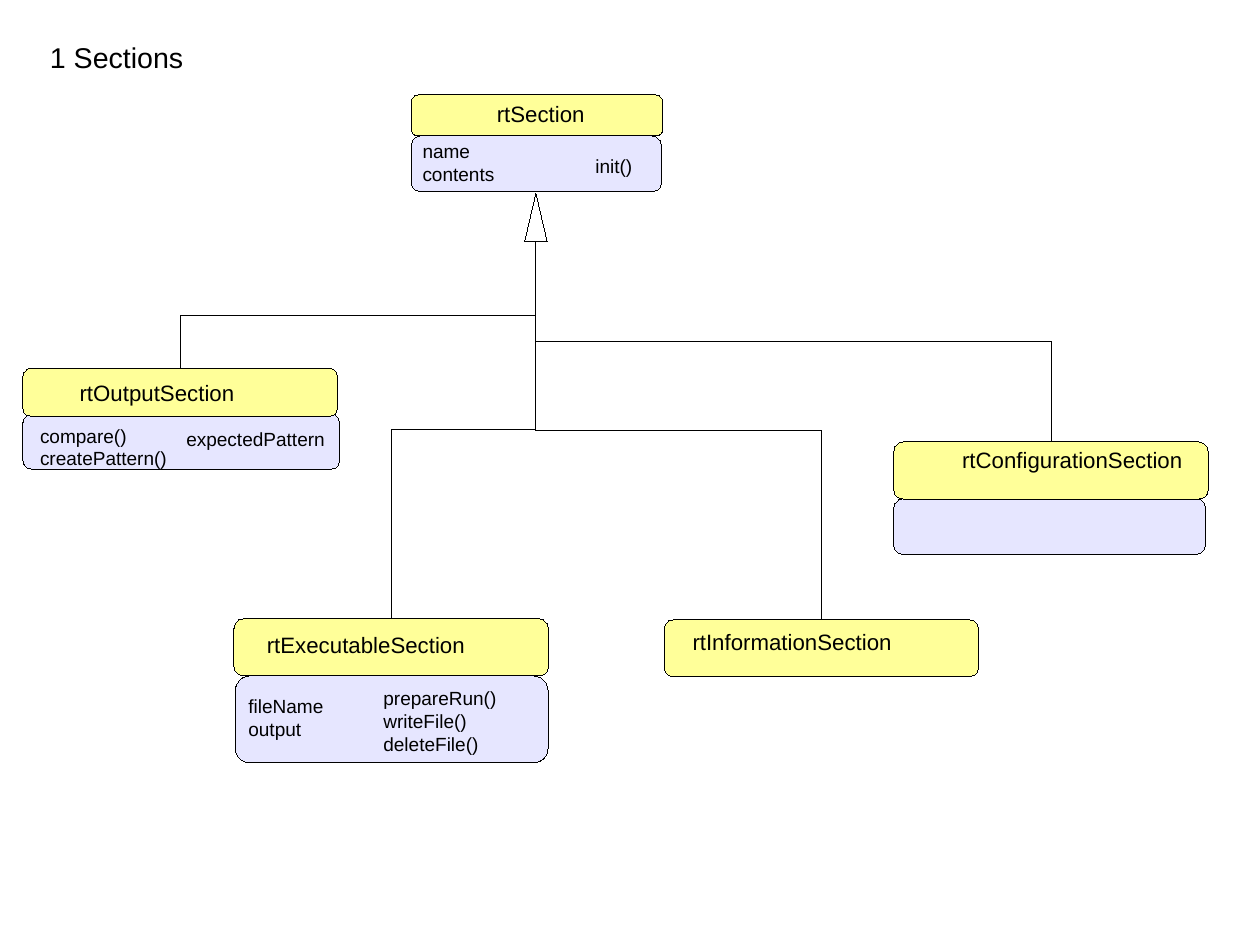
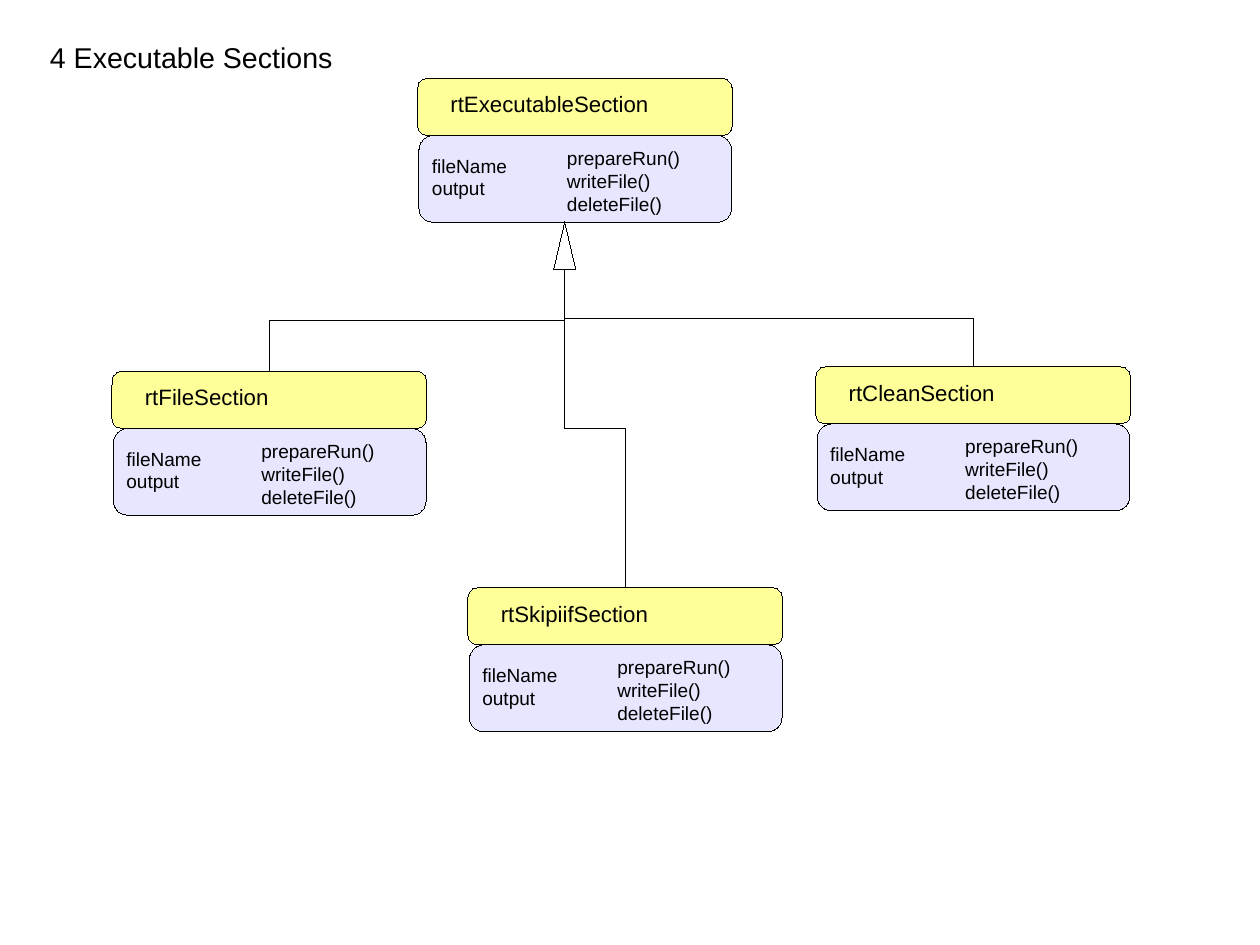
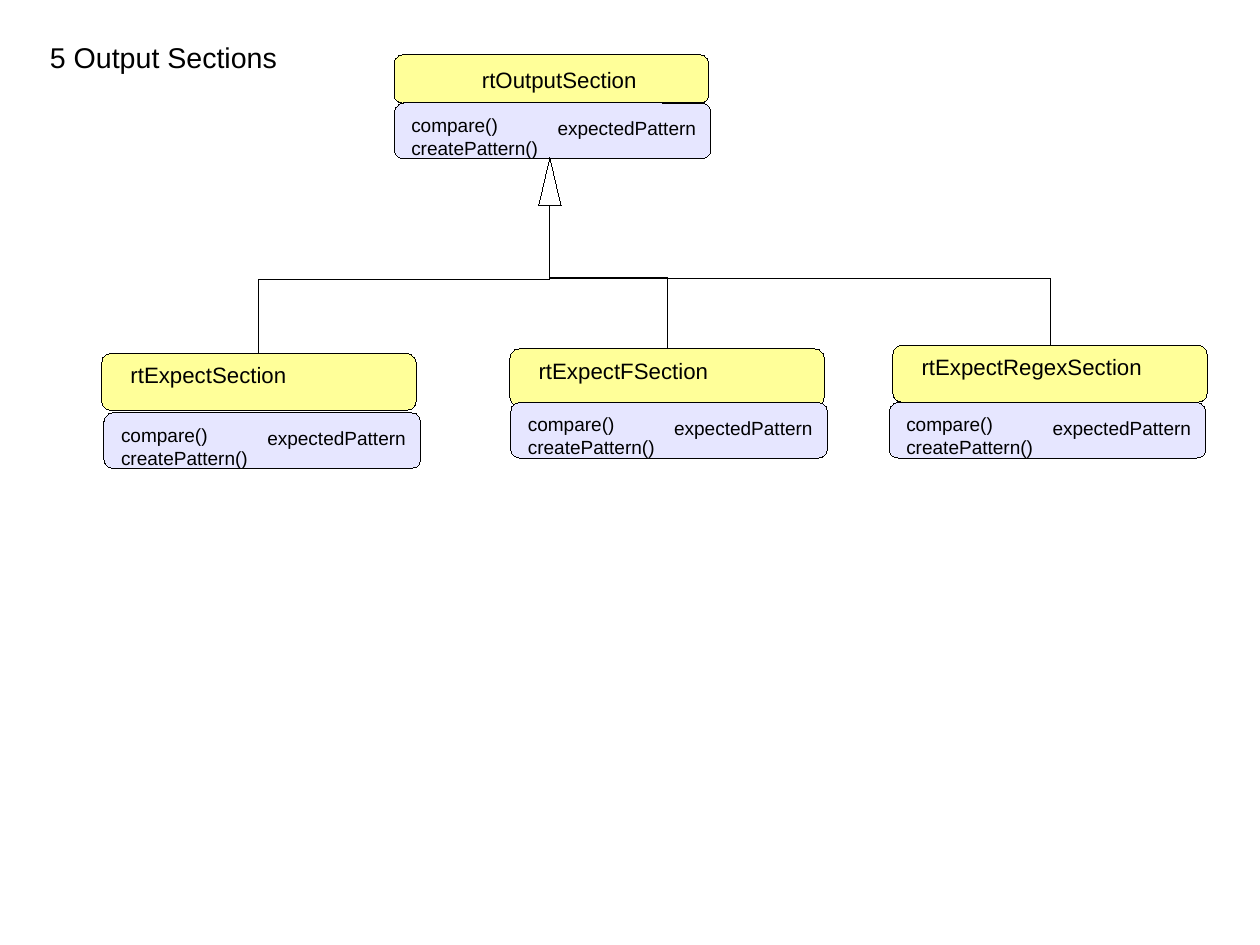
from pptx import Presentation
from pptx.dml.color import RGBColor as RGB
from pptx.enum.shapes import MSO_CONNECTOR as Conn, MSO_SHAPE as Kind
from pptx.enum.text import MSO_AUTO_SIZE as Fit
from pptx.oxml.ns import qn
from pptx.util import Cm, Pt
from lxml.etree import SubElement as Sub

HUES = {"ink": "000000", "head": "FFFF99", "body": "E6E6FF"}
FONT = "Arial"
HAIR = Pt(0.01)  # thinnest line; a width of 0 would fall back to the theme
SLACK = 0.2  # spare text width, so that no name breaks
HEAD_W, HEAD_H, LOW_H = 6.99, 1.27, 1.07  # usual head, and the low one
TIP_W, TIP_H = 0.5, 1.07  # inheritance triangle

# Class bodies: size, then columns as (dx, dy, width, lines)
EXEC = (6.95, 1.93, [
    (3.04, 0.12, 3.66, ["prepareRun()", "writeFile()", "deleteFile()"]),
    (0.04, 0.29, 2.18, ["fileName", "output"])])
OUT = (7.04, 1.24, [
    (0.13, 0.11, 3.43, ["compare()", "createPattern()"]),
    (3.38, 0.18, 3.61, ["expectedPattern"])])
BASE = (5.56, 1.24, [
    (3.84, 0.28, 1.32, ["init()"]),
    (0, -0.05, 2.11, ["name", "contents"])])
BARE = (6.93, 1.24, [])


def hue(key):
    return RGB.from_string(HUES[key])


# Text
def text(slide, x, y, w, lines, size):
    high = len(lines) * size * 1.15 * 2.54 / 72 + 0.25
    box = slide.shapes.add_textbox(Cm(x), Cm(y), Cm(w + SLACK), Cm(high))
    frame = box.text_frame
    frame.word_wrap = True
    frame.auto_size = Fit.SHAPE_TO_FIT_TEXT
    for i, line in enumerate(lines):
        para = frame.add_paragraph() if i else frame.paragraphs[0]
        run = para.add_run()
        run.text = line
        run.font.name = FONT
        run.font.size = Pt(size)
        run.font.color.rgb = hue("ink")


# Outlined shapes
def ink(item):
    item.line.color.rgb = hue("ink")
    item.line.width = HAIR


def shape(slide, kind, x, y, w, h, fill=None):
    item = slide.shapes.add_shape(kind, Cm(x), Cm(y), Cm(w), Cm(h))
    item.shadow.inherit = False
    ink(item)
    if fill:
        item.fill.solid()
        item.fill.fore_color.rgb = hue(fill)
    else:
        item.fill.background()


# Class parts
def head(slide, x, y, name, dx, dy, wide, w=HEAD_W, h=HEAD_H):
    shape(slide, Kind.ROUNDED_RECTANGLE, x, y, w, h, "head")
    text(slide, x + dx, y + dy, wide, [name], 14)


def body(slide, x, y, part):
    w, h, cols = part
    shape(slide, Kind.ROUNDED_RECTANGLE, x, y, w, h, "body")
    for dx, dy, wide, lines in cols:
        text(slide, x + dx, y + dy, wide, lines, 12)


def runner(slide, x, y, name, wide):
    body(slide, x + 0.03, y + HEAD_H, EXEC)
    head(slide, x, y, name, 0.48, 0.15, wide)


# Elbow that leaves downwards: a level one, turned a quarter
def elbow(slide, x, y, to_x, to_y, bend):
    mid_x, mid_y = (x + to_x) / 2, (y + to_y) / 2
    side = 1 if to_x < x else -1
    dx, dy = side * (to_y - y) / 2, abs(to_x - x) / 2
    line = slide.shapes.add_connector(
        Conn.ELBOW, Cm(mid_x - dx), Cm(mid_y - dy),
        Cm(mid_x + dx), Cm(mid_y + dy))
    ink(line)
    prop = line._element.spPr
    Sub(prop, qn("a:effectLst"))
    turn = 90 if side > 0 else 270
    prop.find(qn("a:xfrm")).set("rot", str(turn * 60000))
    vals = prop.find(qn("a:prstGeom")).get_or_add_avLst()
    Sub(vals, qn("a:gd"), name="adj1", fmla=f"val {round(bend * 100000)}")


# Triangle under the parent, one elbow to the head of each child
def tree(slide, x, y, kids):
    shape(slide, Kind.ISOSCELES_TRIANGLE, x - TIP_W / 2, y, TIP_W, TIP_H)
    for kid_x, kid_y, bend in kids:
        elbow(slide, x, y + TIP_H, kid_x + HEAD_W / 2, kid_y, bend)


def page(deck, title, wide):
    slide = deck.slides.add_slide(deck.slide_layouts[6])
    text(slide, 0.86, 0.76, wide, [title], 18)
    return slide


def sections(deck):
    slide = page(deck, "1 Sections", 3.45)
    body(slide, 9.14, 3.02, BASE)
    head(slide, 9.14, 2.11, "rtSection", 1.65, 0, 2.46, 5.59, 0.91)
    body(slide, 0.51, 9.19, OUT)
    head(slide, 0.51, 8.18, "rtOutputSection", 1.01, 0.13, 3.96, h=LOW_H)
    runner(slide, 5.2, 13.75, "rtExecutableSection", 4.9)
    body(slide, 19.86, 11.08, BARE)
    head(slide, 19.86, 9.82, "rtConfigurationSection", 1.27, -0.02, 5.41)
    head(slide, 14.76, 13.77, "rtInformationSection", 0.38, 0.07, 4.95)
    tree(slide, 11.91, 4.29, [
        (0.51, 8.18, 0.59), (5.2, 13.75, 0.5),
        (19.86, 9.82, 0.5), (14.76, 13.77, 0.5)])


def runners(deck):
    slide = page(deck, "4 Executable Sections", 6.78)
    runner(slide, 9.28, 1.74, "rtExecutableSection", 4.9)
    kids = [(2.49, 8.25, "rtFileSection", 3.25),
            (10.4, 13.06, "rtSkipiifSection", 3.78),
            (18.13, 8.15, "rtCleanSection", 3.76)]
    for kid in kids:
        runner(slide, *kid)
    tree(slide, 12.55, 4.93, [(x, y, 0.5) for x, y, *_ in kids])


def outputs(deck):
    slide = page(deck, "5 Output Sections", 5.56)
    head(slide, 8.76, 1.22, "rtOutputSection", 1.7, 0.13, 3.96, h=LOW_H)
    body(slide, 8.76, 2.29, OUT)
    # Head place, name, name width, body place, bend
    kids = [(2.26, 7.85, "rtExpectSection", 3.96, 2.31, 9.17, 0.5),
            (11.33, 7.75, "rtExpectFSection", 4.27, 11.35, 8.94, 0.5),
            (19.84, 7.67, "rtExpectRegexSection", 5.41, 19.76, 8.94, 0.52)]
    for x, y, name, wide, body_x, body_y, _ in kids:
        head(slide, x, y, name, 0.39, 0.06, wide)
        body(slide, body_x, body_y, OUT)
    tree(slide, 12.22, 3.5, [(kid[0], kid[1], kid[-1]) for kid in kids])


def main():
    deck = Presentation()
    deck.slide_width, deck.slide_height = Cm(28), Cm(21)
    for build in (sections, runners, outputs):
        build(deck)
    deck.save("out.pptx")


if __name__ == "__main__":
    main()
